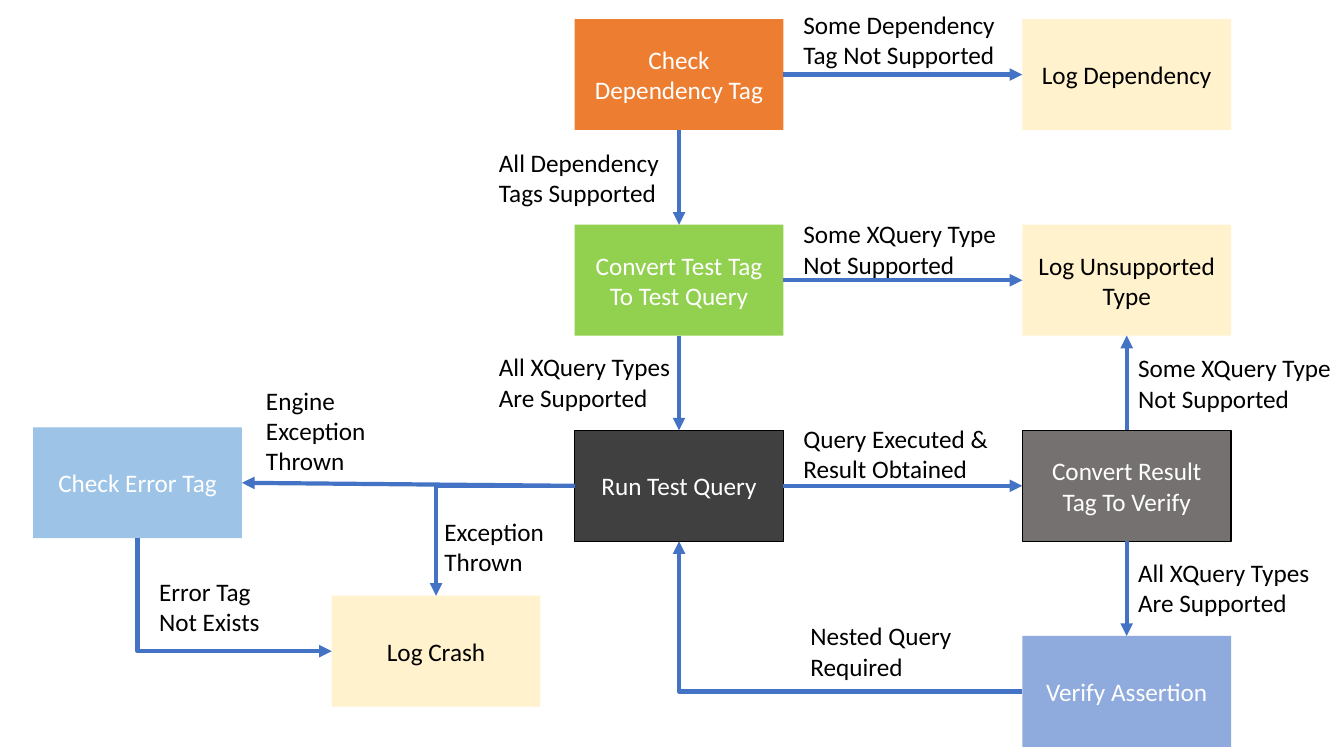
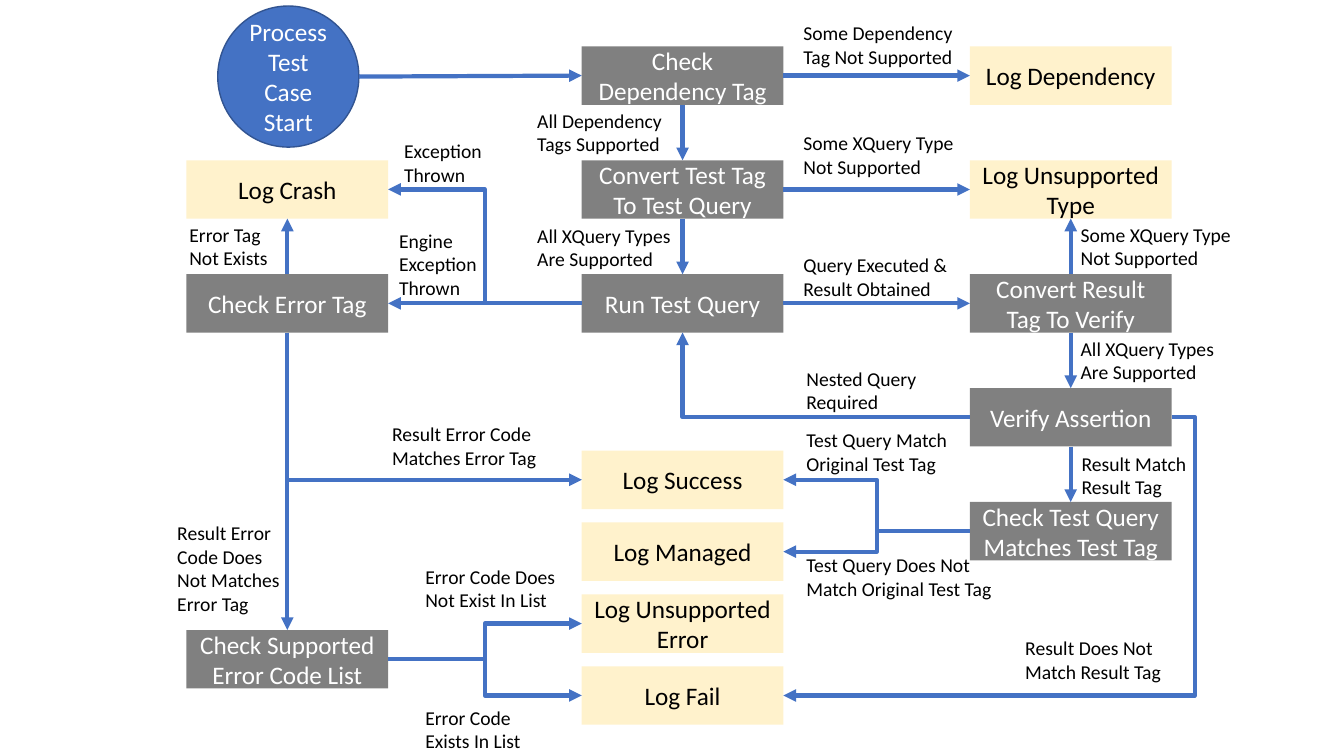
from dataclasses import dataclass
from enum import IntEnum

from lxml import etree
from pptx import Presentation
from pptx import util as u
from pptx.dml import color
from pptx.enum import shapes, text as txt
from pptx.oxml import ns


@dataclass(frozen=True)
class Theme:
    font: str = "Calibri"
    body: int = 18
    small: int = 14
    stroke: int = 3
    black: str = "000000"
    white: str = "FFFFFF"
    blue: str = "4472C4"
    navy: str = "325491"
    cream: str = "FFF2CC"
    gray: str = "808080"
    coal: str = "404040"
    stone: str = "767171"
    green: str = "92D050"
    orange: str = "ED7D31"
    sky: str = "9DC3E6"
    steel: str = "8FAADC"


T = Theme()


class Side(IntEnum):
    TOP = 0
    LEFT = 1
    BASE = 2
    RIGHT = 3


class Bend(IntEnum):
    NONE = 0
    ACROSS = 1
    DOWN = 2
    STEP = 3


@dataclass(frozen=True)
class Box:
    key: str
    text: str
    x: float
    y: float
    fill: str
    ink: str = T.white
    edge: str = ""
    disc: float = 0


@dataclass(frozen=True)
class Label:
    text: str
    x: float
    y: float
    wide: float = 2.17


@dataclass(frozen=True)
class Link:
    start: str
    out: Side
    end: str
    into: Side
    bend: Bend = Bend.NONE
    shift: float = 0.5


@dataclass(frozen=True)
class Flow:
    wide: float
    high: float
    size: int
    boxes: list[Box]
    labels: list[Label]
    links: list[Link]


def paint(hue: str) -> color.RGBColor:
    return color.RGBColor.from_string(hue)


def write(frame, words: str, *, size: int, ink: str, align=txt.PP_ALIGN.LEFT) -> None:
    frame.word_wrap = True
    frame.text = words
    for para in frame.paragraphs:
        para.alignment = align
        para.font.name = T.font
        para.font.size = u.Pt(size)
        para.font.color.rgb = paint(ink)
        for run in para.runs:
            run.font.name = T.font
            run.font.size = u.Pt(size)
            run.font.color.rgb = paint(ink)


def draw_box(slide, box: Box, wide: float, high: float):
    kind = shapes.MSO_SHAPE.OVAL if box.disc else shapes.MSO_SHAPE.RECTANGLE
    area = (box.x, box.y, box.disc or wide, box.disc or high)
    node = slide.shapes.add_shape(kind, *map(u.Inches, area))
    node.shadow.inherit = False
    node.fill.solid()
    node.fill.fore_color.rgb = paint(box.fill)
    if box.edge:
        node.line.color.rgb = paint(box.edge)
        node.line.width = u.Pt(1)
    else:
        node.line.fill.background()
    node.text_frame.vertical_anchor = txt.MSO_ANCHOR.MIDDLE
    write(node.text_frame, box.text, size=T.body, ink=box.ink, align=txt.PP_ALIGN.CENTER)
    return node


def draw_label(slide, label: Label, size: int) -> None:
    high = 0.1 + (label.text.count("\n") + 1) * size / 60
    area = (label.x, label.y, label.wide, high)
    frame = slide.shapes.add_textbox(*map(u.Inches, area)).text_frame
    frame.auto_size = txt.MSO_AUTO_SIZE.SHAPE_TO_FIT_TEXT
    write(frame, label.text, size=size, ink=T.black)


def spot(node, side: Side) -> tuple[int, int]:
    mid = (node.left + node.width // 2, node.top + node.height // 2)
    return {
        Side.TOP: (mid[0], node.top),
        Side.LEFT: (node.left, mid[1]),
        Side.BASE: (mid[0], node.top + node.height),
        Side.RIGHT: (node.left + node.width, mid[1]),
    }[side]


def turn_down(line) -> None:
    wide, high = line.width, line.height
    line.left += (wide - high) // 2
    line.top += (high - wide) // 2
    line.width, line.height = high, wide
    frame = line._element.spPr.find(ns.qn("a:xfrm"))
    frame.set("rot", "16200000")
    frame.set("flipH", "1")


def draw_link(slide, link: Link, nodes: dict) -> None:
    first, last = nodes[link.start], nodes[link.end]
    kind = shapes.MSO_CONNECTOR.ELBOW if link.bend else shapes.MSO_CONNECTOR.STRAIGHT
    line = slide.shapes.add_connector(kind, *spot(first, link.out), *spot(last, link.into))
    if first.auto_shape_type != shapes.MSO_SHAPE.OVAL:
        line.begin_connect(first, link.out)
    line.end_connect(last, link.into)
    line.line.color.rgb = paint(T.blue)
    line.line.width = u.Pt(T.stroke)
    props = line._element.spPr
    shape = props.find(ns.qn("a:prstGeom"))
    if link.bend in (Bend.ACROSS, Bend.DOWN):
        shape.set("prst", "bentConnector2")
    if link.bend == Bend.DOWN:
        turn_down(line)
    if link.bend == Bend.STEP:
        guide = etree.SubElement(shape.find(ns.qn("a:avLst")), ns.qn("a:gd"))
        guide.set("name", "adj1")
        guide.set("fmla", f"val {round(link.shift * 100000)}")
    tip = etree.SubElement(props.find(ns.qn("a:ln")), ns.qn("a:tailEnd"))
    tip.set("type", "triangle")
    etree.SubElement(props, ns.qn("a:effectLst"))


def draw_flow(deck, flow: Flow) -> None:
    slide = deck.slides.add_slide(deck.slide_layouts[6])
    for label in flow.labels:
        draw_label(slide, label, flow.size)
    nodes = {box.key: draw_box(slide, box, flow.wide, flow.high) for box in flow.boxes}
    for link in flow.links:
        draw_link(slide, link, nodes)


TOP, LEFT, BASE, RIGHT = Side
DEPS = "All Dependency\nTags Supported"
NO_DEPS = "Some Dependency\nTag Not Supported"
TYPES = "All XQuery Types\nAre Supported"
NO_TYPES = "Some XQuery Type\nNot Supported"
RESULT = "Query Executed &\nResult Obtained"
NESTED = "Nested Query\nRequired"
THROWN = "Exception\nThrown"
ENGINE = "Engine\nException\nThrown"
NO_TAG = "Error Tag\nNot Exists"

SHARED = [
    Link("deps", RIGHT, "log deps", LEFT),
    Link("deps", BASE, "convert", TOP),
    Link("convert", RIGHT, "log type", LEFT),
    Link("convert", BASE, "run", TOP),
    Link("run", RIGHT, "result", LEFT),
    Link("result", TOP, "log type", BASE),
    Link("result", BASE, "verify", TOP),
    Link("verify", LEFT, "run", BASE, Bend.ACROSS),
    Link("run", LEFT, "error", RIGHT),
]


def core(mid: float, right: float, rows: list[float], fills: list[str], edge: str = "") -> list[Box]:
    deps, convert, run, result, verify = fills
    return [
        Box("deps", "Check Dependency Tag", mid, rows[0], deps),
        Box("convert", "Convert Test Tag To Test Query", mid, rows[1], convert),
        Box("run", "Run Test Query", mid, rows[2], run, edge=edge),
        Box("log deps", "Log Dependency", right, rows[0], T.cream, T.black),
        Box("log type", "Log Unsupported Type", right, rows[1], T.cream, T.black),
        Box("result", "Convert Result Tag To Verify", right, rows[2], result, edge=edge),
        Box("verify", "Verify Assertion", right, rows[3], verify),
    ]


def sides(error: tuple[float, float], crash: tuple[float, float], fill: str) -> list[Box]:
    return [
        Box("error", "Check Error Tag", *error, fill),
        Box("crash", "Log Crash", *crash, T.cream, T.black),
    ]


BIG = [0.19 + 2.04 * row for row in range(4)]
BASIC = Flow(
    2.07, 1.1, T.body,
    core(5.7, 10.14, BIG, [T.orange, T.green, T.coal, T.stone, T.steel], T.black)
    + sides((0.33, 4.24), (3.29, 5.91), T.sky),
    [
        Label(DEPS, 4.85, 1.41, 1.98), Label(NO_DEPS, 7.87, 0.04),
        Label(NO_TYPES, 7.87, 2.12), Label(TYPES, 4.85, 3.44),
        Label(NESTED, 7.94, 6.11), Label(THROWN, 4.31, 5.07),
        Label(ENGINE, 2.54, 3.77), Label(NO_TAG, 1.48, 5.67, 1.34),
        Label(RESULT, 7.87, 4.15), Label(NO_TYPES, 11.19, 3.45),
        Label(TYPES, 11.19, 5.48),
    ],
    SHARED + [
        Link("run", LEFT, "crash", TOP, Bend.ACROSS),
        Link("error", BASE, "crash", LEFT, Bend.DOWN),
    ],
)

WEST, MID, EAST = 1.85, 5.77, 9.62
ROWS = [0.46 + 1.13 * row for row in range(5)]
ENDS = {"success": "Log Success", "managed": "Log Managed",
        "log error": "Log Unsupported Error", "fail": "Log Fail"}
FULL = Flow(
    2, 0.58, T.small,
    core(MID, EAST, ROWS, [T.gray] * 5)
    + sides((WEST, ROWS[2]), (WEST, ROWS[1]), T.gray)
    + [Box(key, words, MID, 4.47 + row * 2.14 / 3, T.cream, T.black)
       for row, (key, words) in enumerate(ENDS.items())]
    + [
        Box("match", "Check Test Query Matches Test Tag", EAST, ROWS[4], T.gray),
        Box("list", "Check Supported Error Code List", WEST, 6.25, T.gray),
        Box("start", "Process Test Case Start", 2.16, 0.06, T.blue, edge=T.navy, disc=1.4),
    ],
    [
        Label(DEPS, 5.23, 1.03, 1.98), Label(NO_DEPS, 7.87, 0.16),
        Label(NO_TYPES, 7.87, 1.25), Label(TYPES, 5.23, 2.17),
        Label(NESTED, 7.9, 3.59), Label(THROWN, 3.91, 1.33),
        Label(ENGINE, 3.86, 2.22), Label(NO_TAG, 1.78, 2.16, 1.34),
        Label(RESULT, 7.87, 2.46), Label(NO_TYPES, 10.62, 2.16),
        Label(TYPES, 10.62, 3.29),
        Label("Result Error Code Matches Error Tag", 3.79, 4.14),
        Label("Result Error Code Does Not Matches Error Tag", 1.66, 5.12, 1.34),
        Label("Error Code Does\nNot Exist In List", 4.12, 5.55),
        Label("Error Code\nExists In List", 4.12, 6.95),
        Label("Result Match\nResult Tag", 10.63, 4.43),
        Label("Result Does Not\nMatch Result Tag", 10.07, 6.26),
        Label("Test Query Match\nOriginal Test Tag", 7.9, 4.2),
        Label("Test Query Does Not Match Original Test Tag", 7.9, 5.44),
    ],
    SHARED + [
        Link("start", RIGHT, "deps", LEFT),
        Link("run", LEFT, "crash", RIGHT, Bend.STEP),
        Link("error", TOP, "crash", BASE),
        Link("error", BASE, "success", LEFT, Bend.DOWN),
        Link("error", BASE, "list", TOP),
        Link("list", RIGHT, "fail", LEFT, Bend.STEP),
        Link("list", RIGHT, "log error", LEFT, Bend.STEP),
        Link("verify", BASE, "match", TOP),
        Link("match", LEFT, "success", RIGHT, Bend.STEP),
        Link("match", LEFT, "managed", RIGHT, Bend.STEP),
        Link("verify", RIGHT, "fail", RIGHT, Bend.STEP, -0.06),
    ],
)

deck = Presentation()
deck.slide_width, deck.slide_height = u.Inches(13.33), u.Inches(7.5)
for flow in (BASIC, FULL):
    draw_flow(deck, flow)
deck.save("out.pptx")
